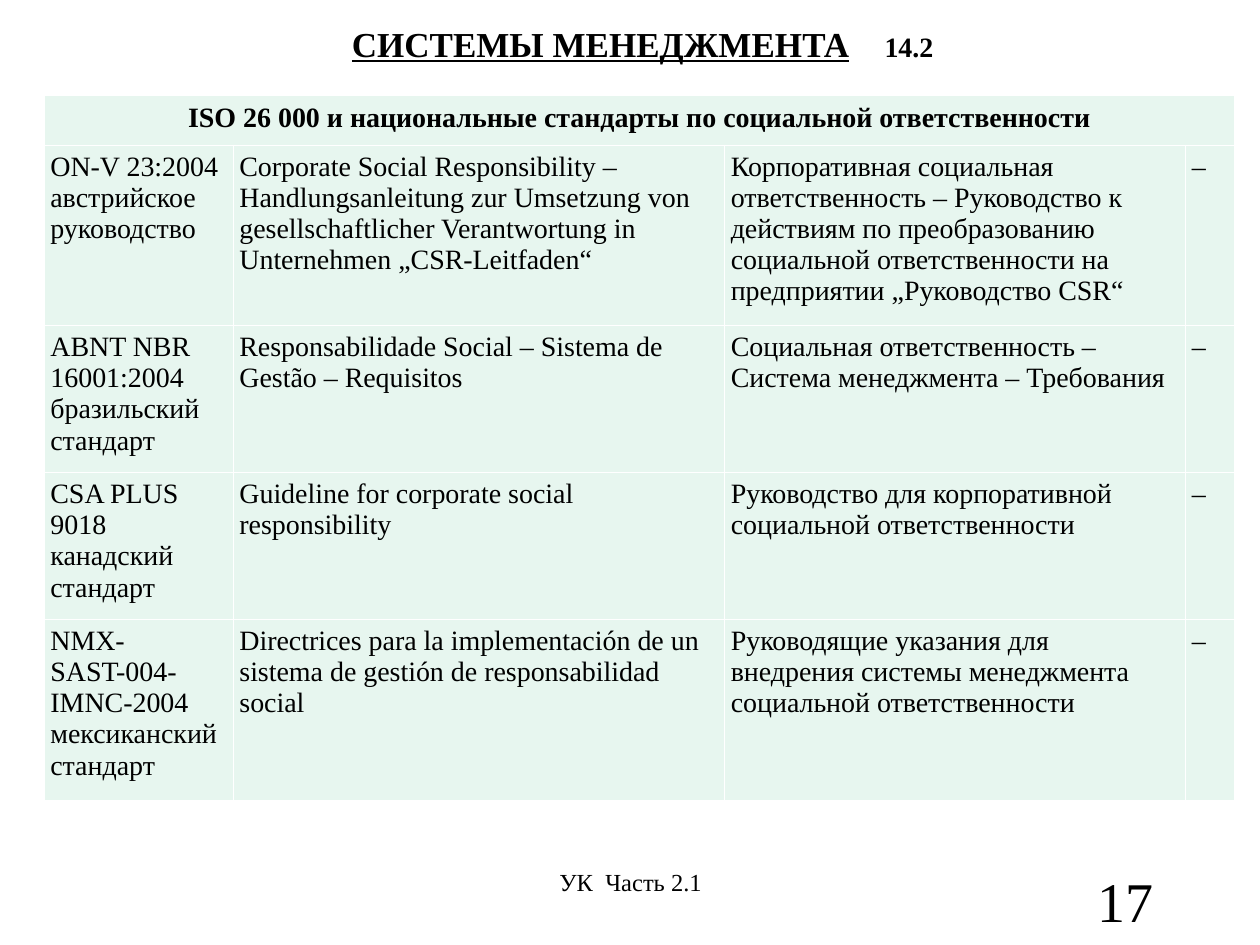
from dataclasses import dataclass

from lxml import etree
from pptx import Presentation
from pptx.dml.color import RGBColor
from pptx.enum.text import PP_ALIGN
from pptx.oxml.ns import qn
from pptx.util import Inches, Pt

LEFT, CENTER, RIGHT = PP_ALIGN.LEFT, PP_ALIGN.CENTER, PP_ALIGN.RIGHT


@dataclass(frozen=True)
class Theme:
    font: str = "Times New Roman"
    ink: str = "000000"
    cell: str = "E7F6EF"
    rule: str = "FFFFFF"
    rule_width: float = 0.45
    title: int = 20
    body: int = 16
    footer: int = 14
    number: int = 32


THEME = Theme()


def write_runs(frame, align, runs):
    """Fill a text frame with runs of (text, size, bold, underline, letter gap in points)."""
    frame.word_wrap = True
    paragraph = frame.paragraphs[0]
    paragraph.alignment = align
    for text, size, bold, underline, gap in runs:
        run = paragraph.add_run()
        run.text = text
        run.font.name = THEME.font
        run.font.size = Pt(size)
        run.font.bold = bold
        run.font.underline = underline
        run.font.color.rgb = RGBColor.from_string(THEME.ink)
        if gap:
            run._r.get_or_add_rPr().set("spc", str(int(gap * 100)))


def style_cell(cell):
    """Give a table cell its margins, fill and thin rules."""
    cell.margin_left = cell.margin_right = Inches(0.05)
    cell.margin_top = cell.margin_bottom = Inches(0.05)
    properties = cell._tc.get_or_add_tcPr()
    for side in ("a:lnL", "a:lnR", "a:lnT", "a:lnB"):
        rule = etree.SubElement(properties, qn(side), w=str(Pt(THEME.rule_width)))
        paint = etree.SubElement(rule, qn("a:solidFill"))
        etree.SubElement(paint, qn("a:srgbClr"), val=THEME.rule)
    cell.fill.solid()
    cell.fill.fore_color.rgb = RGBColor.from_string(THEME.cell)


deck = Presentation()
deck.slide_width, deck.slide_height = Inches(10), Inches(7.5)
slide = deck.slides.add_slide(deck.slide_layouts[6])

# Title, footer and slide number
captions = [
    ((3.42, 6.83, 3.17, 0.5), CENTER, [
        ("УК", THEME.footer, False, False, 0),
        (" ", THEME.footer, False, False, 3.5),
        ("Часть 2.1", THEME.footer, False, False, 0),
    ]),
    ((7.17, 6.83, 2.08, 0.5), RIGHT, [("17", THEME.number, False, False, 0)]),
    ((0.2, 0.13, 9.8, 0.44), CENTER, [
        ("СИСТЕМЫ МЕНЕДЖМЕНТА", THEME.title, True, True, 0),
        (" ", THEME.title, True, False, 15),
        ("14.2", THEME.body, True, False, 0),
    ]),
]
for place, align, runs in captions:
    caption = slide.shapes.add_textbox(*map(Inches, place))
    write_runs(caption.text_frame, align, runs)

# Table of national standards
heading = "ISO 26 000 и национальные стандарты по социальной ответственности"
standards = [
    ("ON-V 23:2004 австрийское руководство",
     "Corporate Social Responsibility – Handlungsanleitung zur Umsetzung von "
     "gesellschaftlicher Verantwortung in Unternehmen „CSR-Leitfaden“",
     "Корпоративная социальная ответственность – Руководство к действиям по "
     "преобразованию социальной ответственности на предприятии „Руководство CSR“"),
    ("ABNT NBR 16001:2004 бразильский стандарт",
     "Responsabilidade Social – Sistema de Gestão – Requisitos",
     "Социальная ответственность – Система менеджмента – Требования"),
    ("CSA PLUS 9018 канадский стандарт",
     "Guideline for corporate social responsibility",
     "Руководство для корпоративной социальной ответственности"),
    ("NMX-SAST-004-IMNC-2004 мексиканский стандарт",
     "Directrices para la implementación de un sistema de gestión de "
     "responsabilidad social",
     "Руководящие указания для внедрения системы менеджмента социальной "
     "ответственности"),
]
column_widths = [1.5, 3.9, 3.66, 0.39]
heading_height, tall, short = 0.39, 1.43 - 0.1 * 1, 1.07
row_heights = [heading_height, tall, short, short, tall]

table = slide.shapes.add_table(
    len(row_heights), len(column_widths), Inches(0.35), Inches(0.76),
    Inches(sum(column_widths)), Inches(sum(row_heights))).table
table.horz_banding = False
table.first_row = False
for column, width in zip(table.columns, column_widths):
    column.width = Inches(width)
for row, height in zip(table.rows, row_heights):
    row.height = Inches(height)
for cell in table.iter_cells():
    style_cell(cell)

table.cell(0, 0).merge(table.cell(0, len(column_widths) - 1))
write_runs(table.cell(0, 0).text_frame, CENTER, [(heading, THEME.body, True, False, 0)])
for row_index, standard in enumerate(standards, start=1):
    for column_index, text in enumerate((*standard, "–")):
        write_runs(table.cell(row_index, column_index).text_frame, LEFT,
                   [(text, THEME.body, False, False, 0)])

deck.save("out.pptx")
